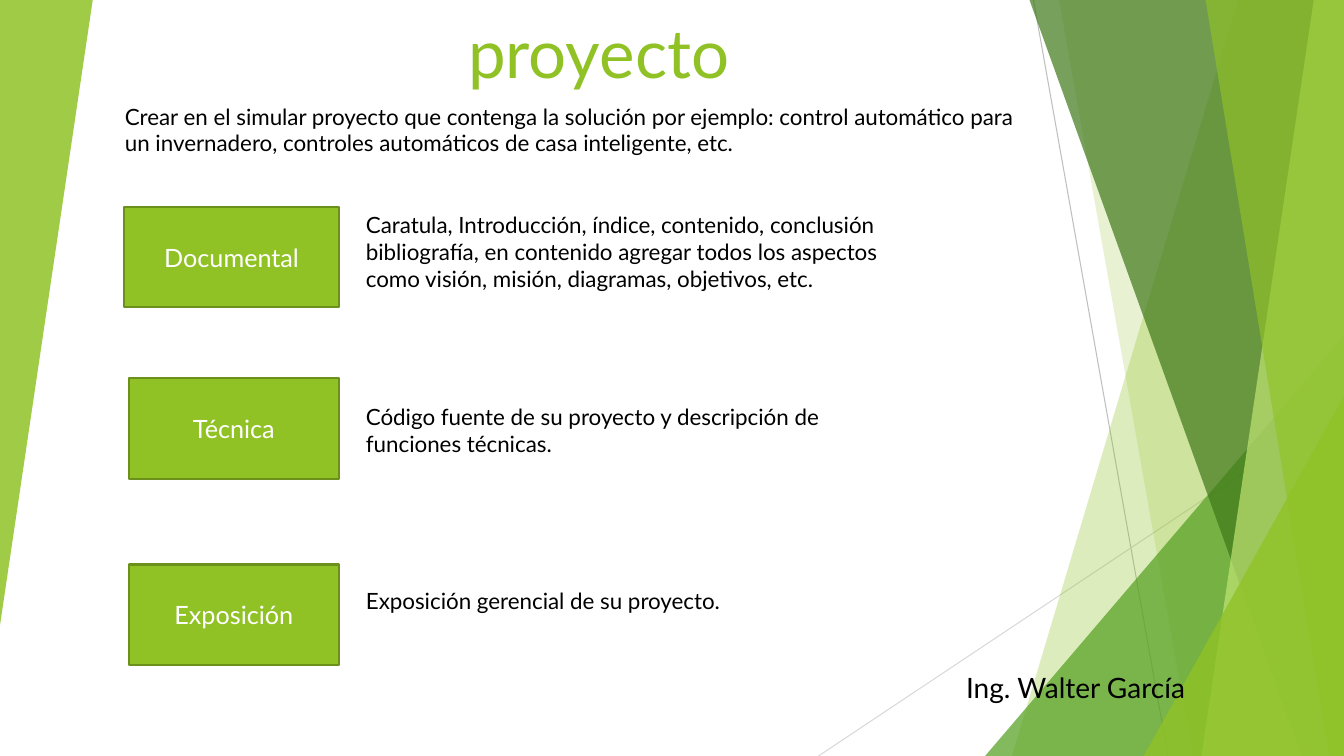
from dataclasses import dataclass

from lxml.etree import SubElement
from pptx import Presentation
from pptx.dml.color import RGBColor
from pptx.enum.shapes import MSO_CONNECTOR as Connector, MSO_SHAPE as Shape
from pptx.enum.text import MSO_ANCHOR as Anchor, PP_ALIGN as Align
from pptx.oxml.ns import qn
from pptx.util import Inches, Pt


@dataclass(frozen=True)
class Theme:
    font: str = "Lato"
    green: str = "90C226"
    leaf: str = "54A021"
    forest: str = "3F7819"
    lime: str = "C0E474"
    border: str = "6B901C"
    hairline: str = "BFBFBF"
    pale_hairline: str = "D9D9D9"
    ink: str = "000000"
    white: str = "FFFFFF"
    title_size: int = 48
    signature_size: int = 20
    label_size: int = 18
    body_size: int = 16


THEME = Theme()


@dataclass(frozen=True)
class Box:
    """A region; its areas are given in percent of its width and height."""
    left: int
    top: int
    width: int
    height: int

    def point(self, x, y):
        return (round(self.left + self.width * x / 100),
                round(self.top + self.height * y / 100))

    def area(self, x, y, width, height):
        return Box(*self.point(x, y), round(self.width * width / 100),
                   round(self.height * height / 100))

    def frame(self):
        return self.left, self.top, self.width, self.height


def paint(shape, color, opacity=100):
    """Solid fill with the given opacity in percent, no shadow or outline."""
    shape.shadow.inherit = False
    shape.line.fill.background()
    shape.fill.solid()
    shape.fill.fore_color.rgb = RGBColor.from_string(color)
    if opacity < 100:
        tint = shape._element.spPr.find(qn("a:solidFill"))[0]
        SubElement(tint, qn("a:alpha"), val=str(opacity * 1000))


def write(shape, text, size, color, align=Align.LEFT, anchor=Anchor.TOP):
    frame = shape.text_frame
    frame.word_wrap = True
    frame.vertical_anchor = anchor
    para = frame.paragraphs[0]
    para.text = text
    para.alignment = align
    para.font.name = THEME.font
    para.font.size = Pt(size)
    para.font.color.rgb = RGBColor.from_string(color)


def add_text(page, box, *args, **options):
    shape = page.shapes.add_textbox(*box.frame())
    write(shape, *args, **options)
    return shape


def add_hairline(page, box, start, end, color):
    line = page.shapes.add_connector(
        Connector.STRAIGHT, *box.point(*start), *box.point(*end))
    line.line.color.rgb = RGBColor.from_string(color)
    line.line.width = Pt(0.75)
    SubElement(line._element.spPr, qn("a:effectLst"))


def add_facet(page, box, top_x, bottom_x, color, opacity):
    """Band from a slanted left edge to the right side of the box."""
    corners = [box.point(*corner) for corner in
               ((top_x, 0), (100, 0), (100, 100), (bottom_x, 100))]
    builder = page.shapes.build_freeform(*corners[0])
    builder.add_line_segments(corners[1:], close=True)
    paint(builder.convert_to_shape(), color, opacity)


def add_triangle(page, box, color, opacity, rotation=0):
    triangle = page.shapes.add_shape(Shape.ISOSCELES_TRIANGLE, *box.frame())
    triangle.adjustments[0] = 1
    triangle.rotation = rotation
    paint(triangle, color, opacity)


def add_backdrop(page, box):
    add_hairline(page, box, (76.9, 0), (86.9, 100), THEME.hairline)
    add_hairline(page, box, (100, 53.7), (60.9, 100), THEME.pale_hairline)
    add_facet(page, box, 92.1, 75.3, THEME.green, 30)
    add_facet(page, box, 78.8, 88.75, THEME.green, 20)
    add_triangle(page, box.area(73.3, 44.4, 26.7, 55.6), THEME.leaf, 72)
    add_facet(page, box, 76.6, 96.85, THEME.forest, 70)
    add_facet(page, box, 97.75, 89.4, THEME.lime, 70)
    add_facet(page, box, 89.7, 98.9, THEME.green, 65)
    add_triangle(page, box.area(85.1, 52.4, 14.9, 47.6), THEME.green, 80)
    add_triangle(page, box.area(0, 0, 6.9, 82.7), THEME.green, 85, 180)


def add_heading(page, box):
    add_text(page, box.area(14.3, 0.5, 60.5, 12.3), "proyecto",
             THEME.title_size, THEME.green, Align.CENTER, Anchor.BOTTOM)
    add_text(page, box.area(8.55, 12.93, 69.6, 8.5),
             "Crear en el simular proyecto que contenga la solución por "
             "ejemplo: control automático para un invernadero, controles "
             "automáticos de casa inteligente, etc.",
             THEME.body_size, THEME.ink)


def add_stage(page, box, label, note, indent, note_top, note_height):
    """One stage of the project: a green label with a note beside it."""
    card = page.shapes.add_shape(
        Shape.RECTANGLE, *box.area(indent, 0, 27.3 - indent, 100).frame())
    paint(card, THEME.green)
    card.line.color.rgb = RGBColor.from_string(THEME.border)
    card.line.width = Pt(1.5)
    write(card, label, THEME.label_size, THEME.white,
          Align.CENTER, Anchor.MIDDLE)
    add_text(page, box.area(29.45, note_top, 70.55, note_height), note,
             THEME.body_size, THEME.ink)


def add_signature(page, box):
    shape = add_text(page, box, "Ing. Walter García",
                     THEME.signature_size, THEME.ink)
    shape.text_frame.margin_left = Inches(0.15)


# Top of the row, label, note, label indent, note top, note height
STAGES = (
    (27.33, "Documental",
     "Caratula, Introducción, índice, contenido, conclusión bibliografía, "
     "en contenido agregar todos los aspectos como visión, misión, "
     "diagramas, objetivos, etc.", 0, 0, 118),
    (50, "Técnica",
     "Código fuente de su proyecto y descripción de funciones técnicas.",
     0.6, 20, 64),
    (74.67, "Exposición", "Exposición gerencial de su proyecto.",
     0.6, 18, 37),
)


def add_project_page(deck):
    page = deck.slides.add_slide(deck.slide_layouts[6])
    whole = Box(0, 0, deck.slide_width, deck.slide_height)
    add_backdrop(page, whole)
    add_heading(page, whole)
    add_signature(page, whole.area(70.75, 88, 26.4, 5.3))
    for top, *stage in STAGES:
        add_stage(page, whole.area(9.23, top, 58.6, 13.33), *stage)


deck = Presentation()
deck.slide_width, deck.slide_height = Inches(13.33), Inches(7.5)
add_project_page(deck)
deck.save("out.pptx")
